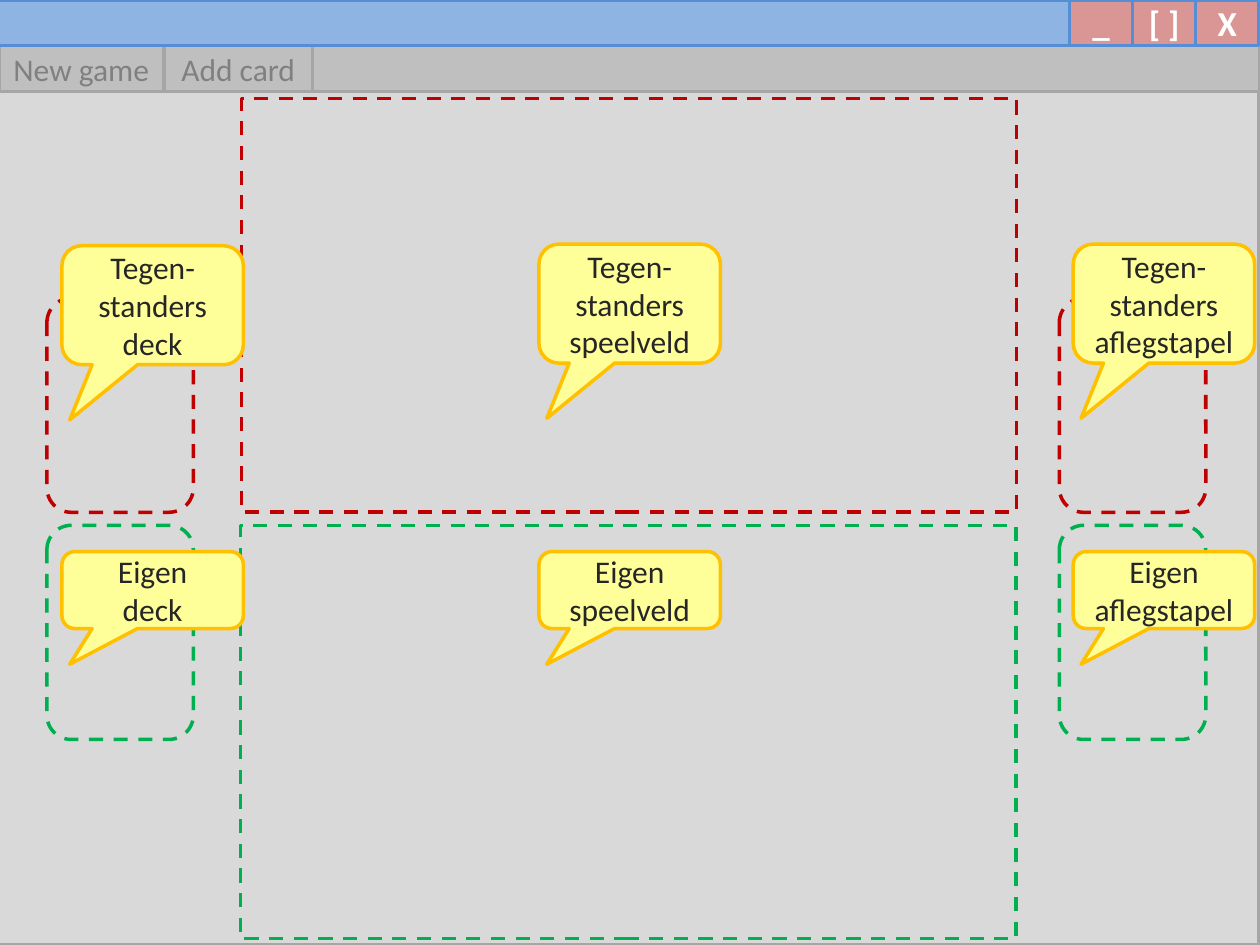
from pptx import Presentation
from pptx.dml.color import RGBColor
from pptx.enum.dml import MSO_LINE
from pptx.enum.shapes import MSO_SHAPE
from pptx.enum.text import MSO_ANCHOR, PP_ALIGN
from pptx.util import Pt


def color(value):
    return RGBColor.from_string(value)


def add_box(kind, x, y, w, h, fill, line, paragraphs=(), size=18, ink="262626", bold=False):
    sp = s.shapes.add_shape(kind, Pt(x), Pt(y), Pt(w), Pt(h))
    sp.shadow.inherit = False
    sp.fill.solid()
    sp.fill.fore_color.rgb = color(fill)
    sp.line.color.rgb = color(line)
    sp.line.width = Pt(2)
    tf = sp.text_frame
    tf.word_wrap = True
    tf.vertical_anchor = MSO_ANCHOR.MIDDLE
    for i, text in enumerate(paragraphs):
        p = tf.add_paragraph() if i else tf.paragraphs[0]
        p.alignment = PP_ALIGN.CENTER
        r = p.add_run()
        r.text = text
        r.font.name = "Calibri"
        r.font.size = Pt(size)
        r.font.bold = bold
        r.font.color.rgb = color(ink)
    return sp


prs = Presentation()
prs.slide_width = Pt(720)
prs.slide_height = Pt(540)
s = prs.slides.add_slide(prs.slide_layouts[6])

RECT = MSO_SHAPE.RECTANGLE
ROUND = MSO_SHAPE.ROUNDED_RECTANGLE
CALLOUT = MSO_SHAPE.ROUNDED_RECTANGULAR_CALLOUT
RED, GREEN = "C00000", "00B050"
bar_h = 26.1

add_box(RECT, 0, bar_h, 720, bar_h, "BFBFBF", "A6A6A6")
for label, x, w in [("New game", -0.7, 94.3), ("Add card", 93.6, 85)]:
    add_box(RECT, x, bar_h, w, bar_h, "BFBFBF", "A6A6A6", [label], ink="808080")

add_box(RECT, -0.7, 0, 720, bar_h, "8EB4E3", "558ED5")
for i, label in enumerate(["_", "[ ]", "X"]):
    add_box(RECT, 611.3 + 36 * i, 0, 36, bar_h, "D99694", "558ED5",
            [label], size=20, ink="FFFFFF", bold=True)

add_box(RECT, -0.7, 52.4, 720, 487.6, "D9D9D9", "A6A6A6")

zones = [(RECT, 138, 56.4, 443, 236.2, RED), (RECT, 137.6, 300.2, 443, 236.2, GREEN)]
for y, line in [(300.2, GREEN), (170.4, RED)]:
    for x in (26.8, 605.3):
        zones.append((ROUND, x, y, 83.7, 122.4, line))
for kind, x, y, w, h, line in zones:
    sp = add_box(kind, x, y, w, h, "D9D9D9", line)
    sp.line.dash_style = MSO_LINE.DASH

callouts = [
    (613.3, 315.2, 44, ["Eigen aflegstapel"]),
    (35.4, 315.2, 44, ["Eigen", "deck"]),
    (613.3, 139.5, 68, ["Tegen-standers aflegstapel"]),
    (35.4, 140.4, 68, ["Tegen-standers deck"]),
    (308, 139.5, 68, ["Tegen-standers speelveld"]),
    (308, 315.2, 44, ["Eigen", "speelveld"]),
]
for x, y, h, paragraphs in callouts:
    sp = add_box(CALLOUT, x, y, 103.7, h, "FFFF99", "FFC000", paragraphs)
    for i, value in enumerate([-0.457, 0.964, 0.167]):
        sp.adjustments[i] = value

prs.save("out.pptx")
